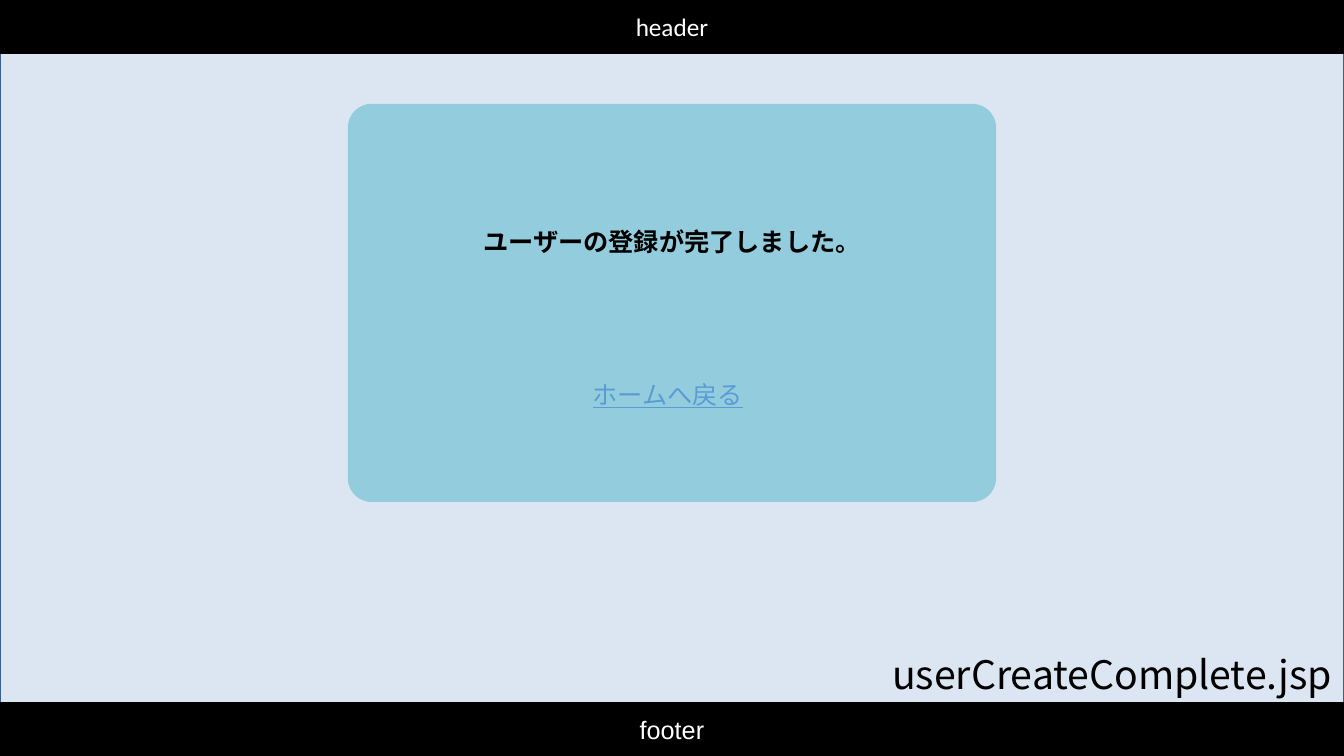
"""Builds the user registration completion screen slide."""
from lxml.etree import SubElement
from pptx import Presentation
from pptx.dml.color import RGBColor
from pptx.enum.shapes import MSO_SHAPE
from pptx.enum.text import MSO_ANCHOR, PP_ALIGN
from pptx.oxml.ns import qn
from pptx.util import Inches, Pt

COLORS = {
    "page": "DCE6F2",
    "border": "3A5F8C",
    "card": "93CDDD",
    "black": "000000",
    "white": "FFFFFF",
    "link": "5B9BD5",
}
JAPANESE_FONT = "Noto Sans CJK JP"
WIDTH, HEIGHT, BAR = 13.33, 7.5, 0.52


def add_panel(kind, left, top, width, height, fill, line=None):
    panel = page.shapes.add_shape(
        kind, Inches(left), Inches(top), Inches(width), Inches(height))
    panel.shadow.inherit = False
    panel.fill.solid()
    panel.fill.fore_color.rgb = RGBColor.from_string(COLORS[fill])
    if line:
        panel.line.color.rgb = RGBColor.from_string(COLORS[line])
        panel.line.width = Pt(2)
    else:
        panel.line.fill.background()
    return panel


def add_text(box, text, font, size, color, align):
    para = box.text_frame.paragraphs[0]
    para.alignment = align
    span = para.add_run()
    span.text = text
    span.font.name = font
    span.font.size = Pt(size)
    span.font.color.rgb = RGBColor.from_string(COLORS[color])
    SubElement(span.font._element, qn("a:ea")).set("typeface", font)
    return span


deck = Presentation()
deck.slide_width, deck.slide_height = Inches(WIDTH), Inches(HEIGHT)
page = deck.slides.add_slide(deck.slide_layouts[6])

add_panel(MSO_SHAPE.RECTANGLE, 0, BAR, WIDTH, HEIGHT - 2 * BAR, "page", "border")
card = add_panel(MSO_SHAPE.ROUNDED_RECTANGLE, 3.45, 1.03, 6.43, 3.95, "card")
card.adjustments[0] = 0.06

for text, top, font in [("header", 0, "Calibri"), ("footer", HEIGHT - BAR, "Arial")]:
    bar = add_panel(MSO_SHAPE.RECTANGLE, 0, top, WIDTH, BAR, "black", "black")
    bar.text_frame.vertical_anchor = MSO_ANCHOR.MIDDLE
    add_text(bar, text, font, 18, "white", PP_ALIGN.CENTER)

labels = [
    ("userCreateComplete.jsp", 8.75, 6.4, 4.59, 0.57, 28, "black", PP_ALIGN.LEFT, False, False),
    ("ホームへ戻る", 5.78, 3.71, 1.77, 0.4, 18, "link", PP_ALIGN.LEFT, False, True),
    ("ユーザーの登録が完了しました。", 3.3, 2.2, 6.73, 0.7, 18, "black", PP_ALIGN.CENTER, True, False),
]
for text, left, top, width, height, size, color, align, bold, underline in labels:
    box = page.shapes.add_textbox(
        Inches(left), Inches(top), Inches(width), Inches(height))
    box.text_frame.word_wrap = align == PP_ALIGN.CENTER
    span = add_text(box, text, JAPANESE_FONT, size, color, align)
    span.font.bold = bold
    span.font.underline = underline

deck.save("out.pptx")
